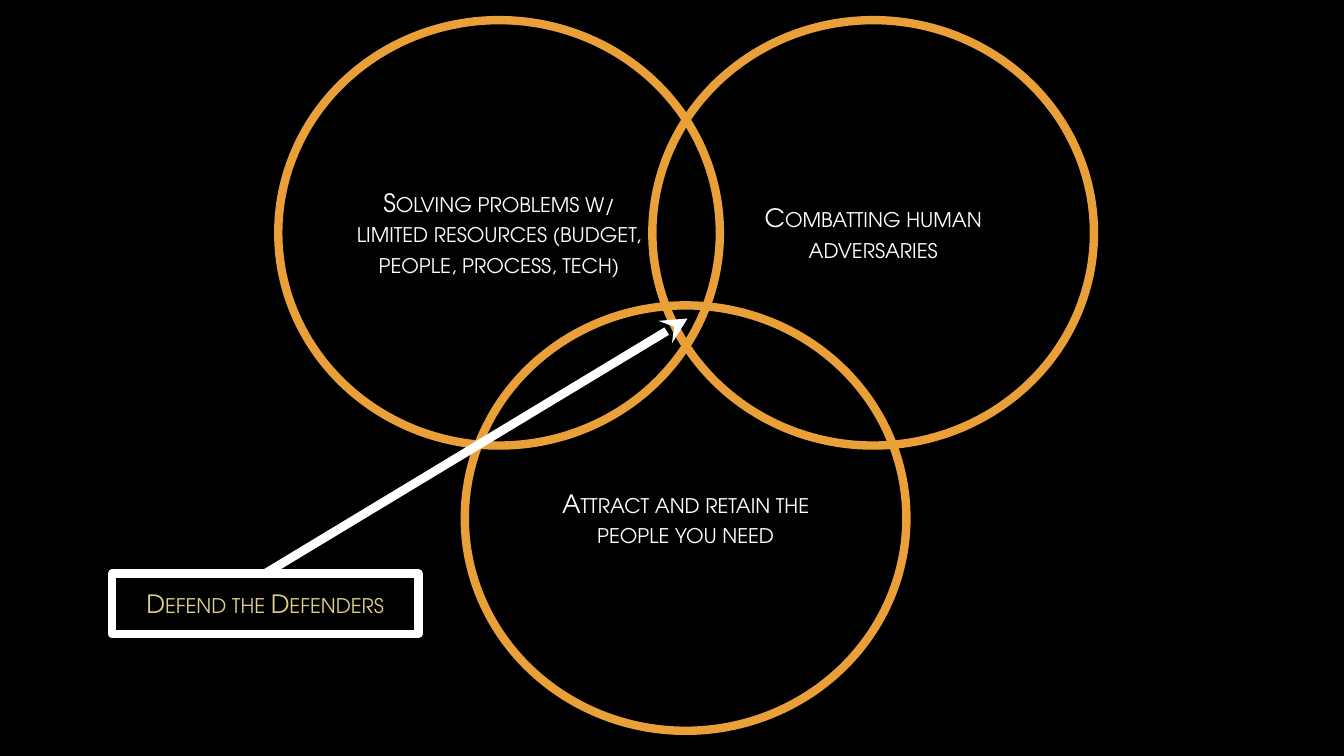
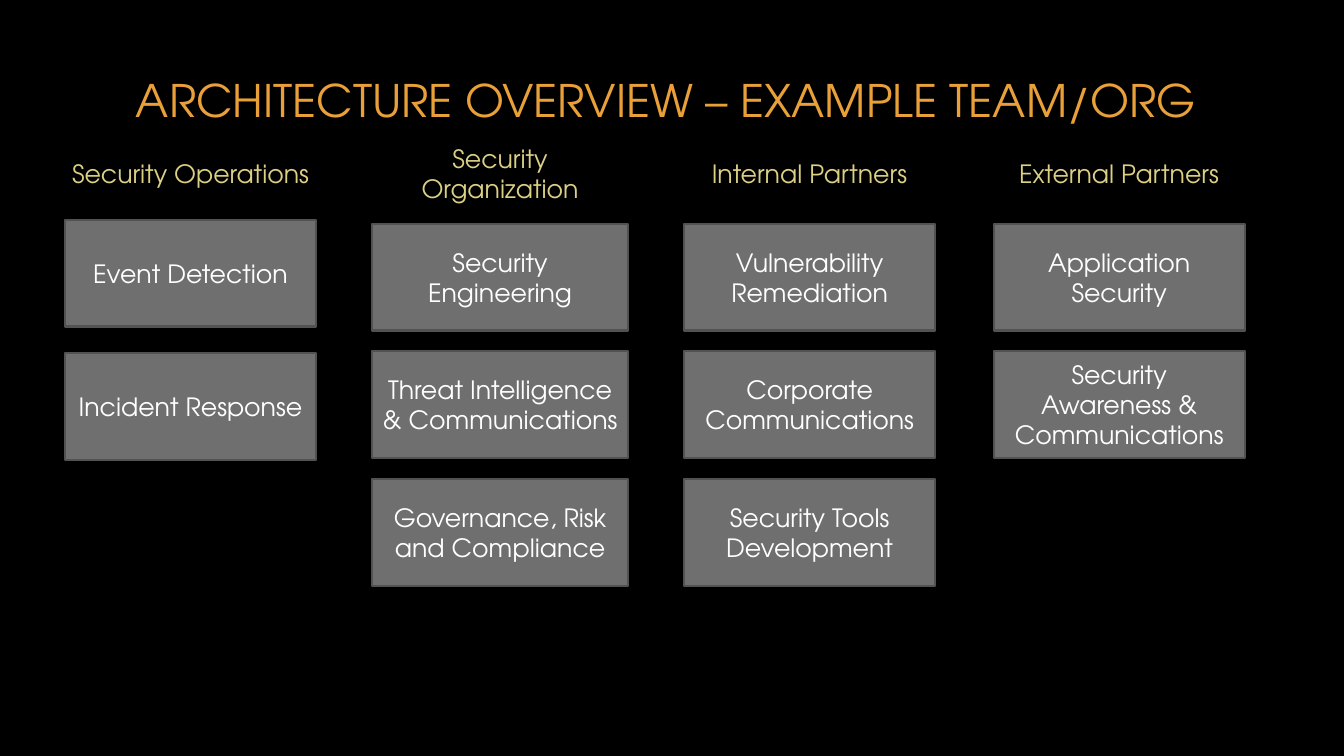
from dataclasses import dataclass

from lxml import etree
from pptx import Presentation
from pptx.dml.color import RGBColor
from pptx.enum.shapes import MSO_CONNECTOR, MSO_SHAPE
from pptx.enum.text import MSO_ANCHOR, PP_ALIGN
from pptx.oxml.ns import qn
from pptx.util import Inches, Pt

ELLIPSE = MSO_SHAPE.OVAL
RECTANGLE = MSO_SHAPE.RECTANGLE
STRAIGHT = MSO_CONNECTOR.STRAIGHT
TOP = MSO_ANCHOR.TOP
MIDDLE = MSO_ANCHOR.MIDDLE
LEFT = PP_ALIGN.LEFT
CENTER = PP_ALIGN.CENTER

FONT = "TeX Gyre Adventor"
BLACK = "000000"
WHITE = "FFFFFF"
ORANGE = "E9A039"
YELLOW = "DCD084"
GRAY = "6F6F6F"
DARK_GRAY = "525252"

CIRCLE_WIDTH, CIRCLE_HEIGHT = 4.38, 4.22
FIRST_CENTER, COLUMN_PITCH = 1.89, 3.07
HEADING_TOP, HEADING_HEIGHT = 1.36, 0.72
TEAM_HEIGHT = 1.06


@dataclass(frozen=True)
class Circle:
    left: float
    top: float
    text: str


@dataclass(frozen=True)
class Column:
    heading: str
    teams: tuple[str, ...]
    heading_width: float = 2.2
    team_width: float = 2.49
    top: float = 2.22
    pitch: float = 1.265


CIRCLES = (
    Circle(2.76, 0.2, "Solving problems w/ limited resources (budget, people, process, tech)"),
    Circle(6.47, 0.2, "Combatting human adversaries"),
    Circle(4.61, 3.03, "Attract and retain the people you need"),
)

COLUMNS = (
    Column("Security Operations", ("Event Detection", "Incident Response"),
           heading_width=2.7, top=2.18, pitch=1.32),
    Column("Security Organization",
           ("Security Engineering", "Threat Intelligence & Communications",
            "Governance, Risk and Compliance"), team_width=2.54),
    Column("Internal Partners",
           ("Vulnerability Remediation", "Corporate Communications",
            "Security Tools Development")),
    Column("External Partners",
           ("Application Security", "Security Awareness & Communications")),
)


def color(value: str) -> RGBColor:
    return RGBColor.from_string(value)


def write(shape, text: str, *, size: float = 18, ink: str = WHITE, align=CENTER,
          anchor=MIDDLE, small_caps: bool = False) -> None:
    frame = shape.text_frame
    frame.word_wrap = True
    frame.vertical_anchor = anchor
    paragraph = frame.paragraphs[0]
    paragraph.alignment = align
    run = paragraph.add_run()
    run.text = text
    run.font.name = FONT
    run.font.size = Pt(size)
    run.font.color.rgb = color(ink)
    if small_caps:
        run._r.get_or_add_rPr().set("cap", "small")


def add_label(slide, box: tuple[float, ...], text: str, **text_format) -> None:
    label = slide.shapes.add_textbox(*map(Inches, box))
    write(label, text, **text_format)


def add_outlined(slide, preset, box: tuple[float, ...], text: str, *, line: str,
                 line_width: float, fill: str | None = None, **text_format):
    shape = slide.shapes.add_shape(preset, *map(Inches, box))
    shape.shadow.inherit = False
    if fill:
        shape.fill.solid()
        shape.fill.fore_color.rgb = color(fill)
    else:
        shape.fill.background()
    shape.line.color.rgb = color(line)
    shape.line.width = Pt(line_width)
    write(shape, text, **text_format)
    return shape


def add_arrow_from(slide, source, tip: tuple[float, float]) -> None:
    x, y = map(Inches, tip)
    arrow = slide.shapes.add_connector(STRAIGHT, x, y, x, y)
    arrow.begin_connect(source, 0)
    arrow.line.color.rgb = color(WHITE)
    arrow.line.width = Pt(6.25)
    etree.SubElement(arrow.line._get_or_add_ln(), qn("a:tailEnd"), type="stealth")
    etree.SubElement(arrow._element.spPr, qn("a:effectLst"))


def add_slide(deck):
    slide = deck.slides.add_slide(deck.slide_layouts[6])
    slide.background.fill.solid()
    slide.background.fill.fore_color.rgb = color(BLACK)
    return slide


def build_challenges(deck) -> None:
    slide = add_slide(deck)
    for circle in CIRCLES:
        add_outlined(slide, ELLIPSE, (circle.left, circle.top, CIRCLE_WIDTH, CIRCLE_HEIGHT),
                     circle.text, line=ORANGE, line_width=6, small_caps=True)
    goal = add_outlined(slide, RECTANGLE, (1.11, 5.69, 3.04, 0.6), "Defend the Defenders",
                        line=WHITE, line_width=6, ink=YELLOW, small_caps=True)
    add_arrow_from(slide, goal, (6.82, 3.16))


def add_column(slide, column: Column, center: float) -> None:
    add_label(slide, (center - column.heading_width / 2, HEADING_TOP,
                      column.heading_width, HEADING_HEIGHT), column.heading, ink=YELLOW)
    for row, team in enumerate(column.teams):
        add_outlined(slide, RECTANGLE,
                     (center - column.team_width / 2, column.top + row * column.pitch,
                      column.team_width, TEAM_HEIGHT),
                     team, line=DARK_GRAY, line_width=1.5, fill=GRAY)


def build_architecture(deck) -> None:
    slide = add_slide(deck)
    add_label(slide, (1.25, 0.67, 10.83, 0.65), "ARCHITECTURE OVERVIEW – EXAMPLE TEAM/ORG",
              size=32, ink=ORANGE, align=LEFT, anchor=TOP)
    for index, column in enumerate(COLUMNS):
        add_column(slide, column, FIRST_CENTER + index * COLUMN_PITCH)


def main() -> None:
    deck = Presentation()
    deck.slide_width = Inches(13.33)
    deck.slide_height = Inches(7.5)
    build_challenges(deck)
    build_architecture(deck)
    deck.save("out.pptx")


if __name__ == "__main__":
    main()
